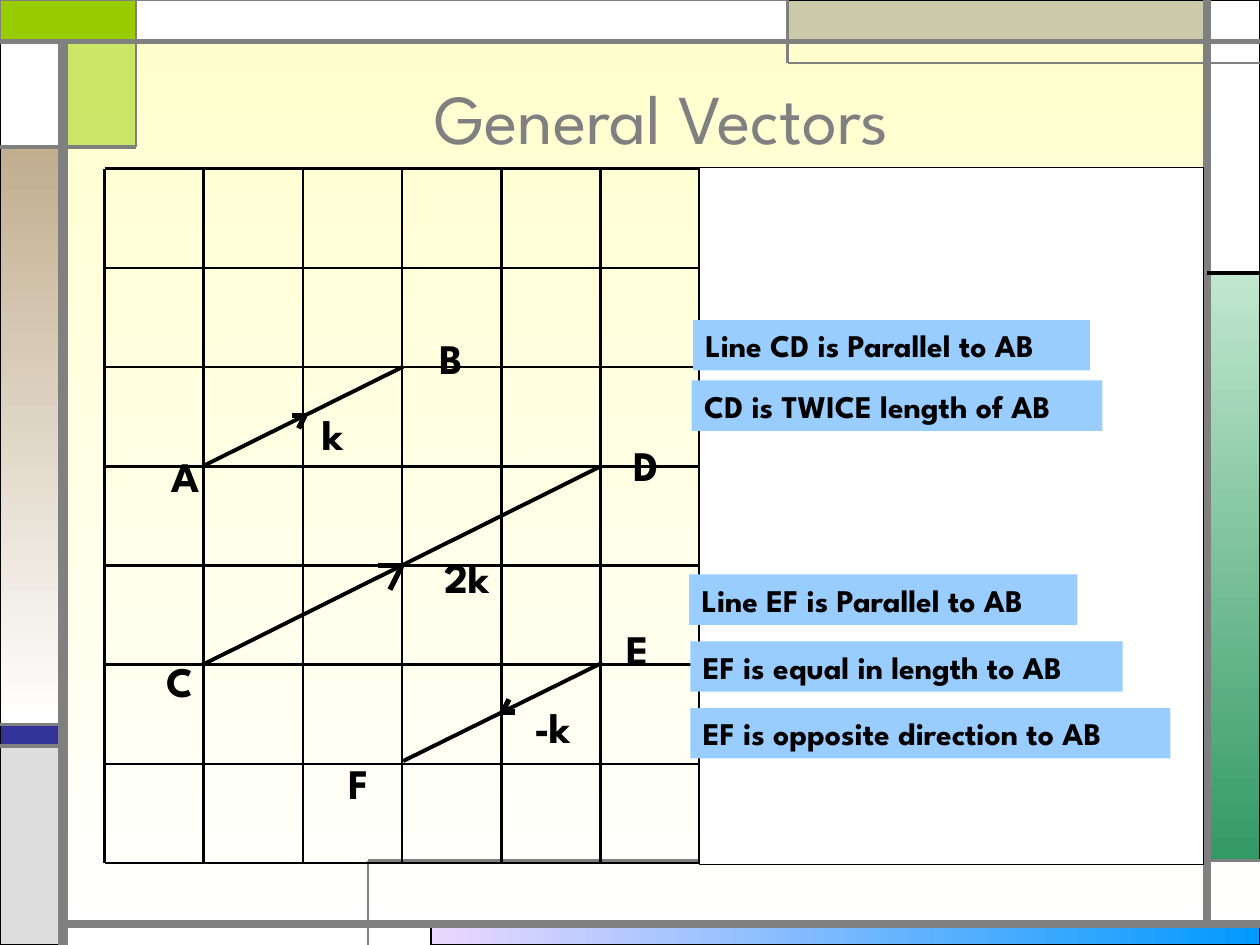
"""Build the General Vectors slide: a grid with three vectors and notes on them."""
from lxml import etree
from pptx import Presentation
from pptx.dml.color import RGBColor
from pptx.enum import shapes, text
from pptx.oxml import ns
from pptx.util import Inches, Pt

BLACK = RGBColor(0x00, 0x00, 0x00)
WHITE = RGBColor(0xFF, 0xFF, 0xFF)
GREY = RGBColor(0x80, 0x80, 0x80)
CREAM = RGBColor(0xFF, 0xFF, 0xCC)
GREEN = RGBColor(0x99, 0xCC, 0x00)
INDIGO = RGBColor(0x33, 0x33, 0x99)
SILVER = RGBColor(0xDD, 0xDD, 0xDD)
KHAKI = RGBColor(0xCA, 0xC9, 0xAA)
TAN = RGBColor(0xC1, 0xAE, 0x8F)
MINT = RGBColor(0xC1, 0xE7, 0xCE)
FOREST = RGBColor(0x33, 0x99, 0x66)
BLUE = RGBColor(0x00, 0x99, 0xFF)
LILAC = RGBColor(0xEB, 0xD7, 0xFF)
SKY = RGBColor(0x99, 0xCC, 0xFF)
FONT = "League Spartan"

prs = Presentation()
prs.slide_width, prs.slide_height = Inches(10), Inches(7.5)
s = prs.slides.add_slide(prs.slide_layouts[5])


def add_rect(x, y, w, h, color, line=BLACK, width=0.75):
    sp = s.shapes.add_shape(shapes.MSO_SHAPE.RECTANGLE, Inches(x), Inches(y), Inches(w), Inches(h))
    sp.shadow.inherit = False
    sp.fill.solid()
    sp.fill.fore_color.rgb = color
    if line is None:
        sp.line.fill.background()
    else:
        sp.line.color.rgb = line
        sp.line.width = Pt(width)
    return sp


def add_line(x1, y1, x2, y2, width, color=BLACK):
    cx = s.shapes.add_connector(
        shapes.MSO_CONNECTOR.STRAIGHT, Inches(x1), Inches(y1), Inches(x2), Inches(y2))
    cx.line.color.rgb = color
    cx.line.width = Pt(width)
    etree.SubElement(cx.element.spPr, ns.qn("a:effectLst"))


bottom_bar = add_rect(3.42, 7.33, 6.58, 0.17, BLUE)
right_bar = add_rect(9.58, 2.17, 0.42, 4.67, MINT)
add_rect(0, 5.75, 0.5, 0.17, INDIGO)
add_rect(0, 5.92, 0.5, 1.58, SILVER)
add_rect(9.58, 0, 0.42, 2.17, WHITE)
add_rect(6.25, 0, 3.33, 0.33, KHAKI)
corner = add_rect(0.5, 0.33, 0.58, 0.83, GREEN)
left_bar = add_rect(0, 1.17, 0.5, 4.58, TAN)
add_rect(0, 0.33, 0.5, 0.83, WHITE)
add_rect(0, 0, 1.08, 0.33, GREEN, GREY, 1.5)
add_rect(1.08, 0, 5.17, 0.33, WHITE, GREY)

alpha = etree.SubElement(corner.fill.fore_color._xFill[0], ns.qn("a:alpha"))
alpha.set("val", "50000")

for holder, angle, start, end in [
    (s.background, 270, CREAM, WHITE),
    (bottom_bar, 180, BLUE, LILAC),
    (right_bar, 270, MINT, FOREST),
    (left_bar, 270, TAN, WHITE),
]:
    fill = holder.fill
    fill.gradient()
    fill.gradient_angle = angle
    for stop, color in zip(fill.gradient_stops, (start, end)):
        stop.color.rgb = color

for x1, y1, x2, y2, width, color in [
    (0.5, 7.5, 0.5, 0.33, 6, GREY),
    (0.5, 7.33, 10, 7.33, 4.5, GREY),
    (9.58, 7.33, 9.58, 0, 4.5, GREY),
    (0, 0.33, 10, 0.33, 3, GREY),
    (10, 0.5, 6.25, 0.5, 1.5, GREY),
    (6.25, 0.5, 6.25, 0, 1.5, GREY),
    (9.58, 2.17, 10, 2.17, 2.25, BLACK),
    (1.08, 0, 1.08, 1.17, 1.5, GREY),
    (1.08, 1.17, 0, 1.17, 2.25, GREY),
    (2.92, 7.5, 2.92, 6.83, 1.5, GREY),
    (2.92, 6.83, 10, 6.83, 1.5, GREY),
    (0.5, 5.75, 0, 5.75, 2.25, GREY),
    (0.5, 5.92, 0, 5.92, 2.25, GREY),
]:
    add_line(x1, y1, x2, y2, width, color)

title = s.shapes.title
title.left, title.top, title.width, title.height = Inches(1), Inches(0.3), Inches(8.5), Inches(1.25)
tf = title.text_frame
tf.text = "General Vectors"
tf.vertical_anchor = text.MSO_ANCHOR.MIDDLE
p = tf.paragraphs[0]
p.alignment = text.PP_ALIGN.CENTER
r = p.runs[0]
r.font.name, r.font.size = FONT, Pt(40)
r.font.color.rgb = GREY

LEFT, TOP, RIGHT, BOTTOM = 0.83, 1.34, 8.7, 6.85
CELL = (BOTTOM - TOP) / 7
for col in range(7):
    x = LEFT + col * CELL
    add_line(x, TOP, x, BOTTOM, 1.5)
for row in range(8):
    y = TOP + row * CELL
    add_line(LEFT, y, RIGHT, y, 1.5)

for start, end, tip, barb in [
    ((1.63, 3.69), (3.2, 2.91), (2.42, 3.3), 0.1),
    ((1.62, 5.27), (4.77, 3.7), (3.19, 4.49), 0.19),
    ((4.78, 5.26), (3.2, 6.04), (3.99, 5.65), -0.1),
]:
    add_line(*start, *end, 2.25)
    add_line(tip[0] - barb, tip[1], *tip, 3)
    add_line(tip[0] - barb / 2, tip[1] + barb, *tip, 3)

add_rect(5.55, 1.33, 4, 5.53, WHITE)

captions = []
for label, x, y, w in [
    ("k", 2.46, 3.19, 0.4),
    ("A", 1.26, 3.53, 0.43),
    ("B", 3.39, 2.59, 0.42),
    ("C", 1.22, 5.15, 0.41),
    ("D", 4.93, 3.44, 0.44),
    ("-k", 4.14, 5.52, 0.51),
    ("2k", 3.43, 4.33, 0.59),
    ("F", 2.67, 5.96, 0.38),
    ("E", 4.87, 4.9, 0.38),
]:
    tb = s.shapes.add_textbox(Inches(x), Inches(y), Inches(w), Inches(0.5))
    tb.text_frame.word_wrap = False
    captions.append((tb, label, 24))

for note, x, y, w in [
    ("Line CD is Parallel to AB", 5.5, 2.54, 3.15),
    ("CD is TWICE length of AB", 5.49, 3.02, 3.26),
    ("Line EF is Parallel to AB", 5.47, 4.56, 3.08),
    ("EF is equal in length to AB", 5.48, 5.09, 3.43),
    ("EF is opposite direction to AB", 5.48, 5.62, 3.81),
]:
    captions.append((add_rect(x, y, w, 0.4, SKY, None), note, 18))

for sp, caption, size in captions:
    tf = sp.text_frame
    tf.text = caption
    tf.vertical_anchor = text.MSO_ANCHOR.TOP
    p = tf.paragraphs[0]
    p.alignment = text.PP_ALIGN.LEFT
    r = p.runs[0]
    r.font.name, r.font.size, r.font.bold = FONT, Pt(size), True
    r.font.color.rgb = BLACK

prs.save("out.pptx")
